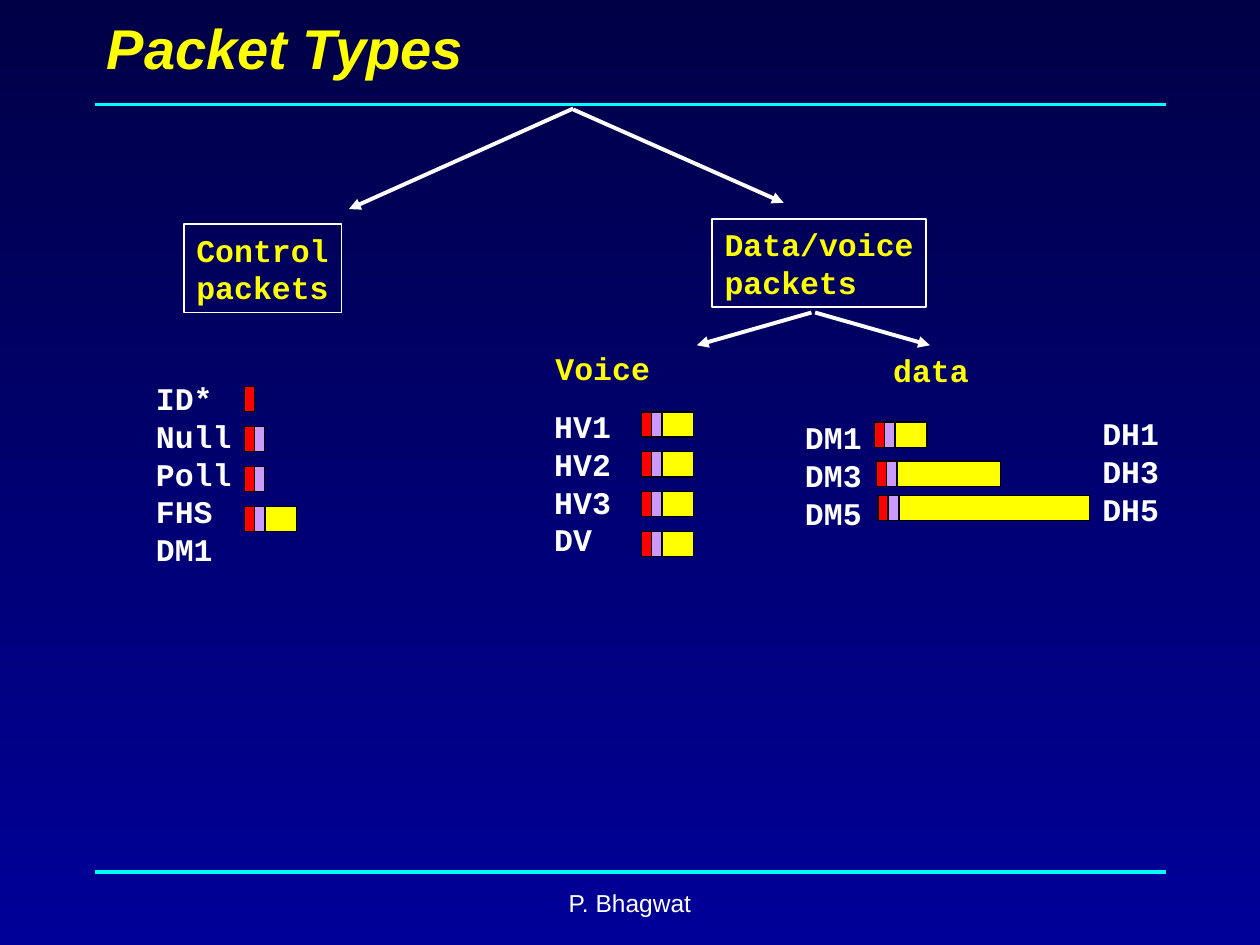
from dataclasses import dataclass

from lxml import etree
from pptx import Presentation
from pptx.dml.color import RGBColor
from pptx.enum.shapes import MSO_CONNECTOR, MSO_SHAPE
from pptx.enum.text import MSO_ANCHOR, MSO_AUTO_SIZE, PP_ALIGN
from pptx.oxml.ns import qn
from pptx.util import Pt

RECTANGLE, STRAIGHT = MSO_SHAPE.RECTANGLE, MSO_CONNECTOR.STRAIGHT
TOP, MIDDLE = MSO_ANCHOR.TOP, MSO_ANCHOR.MIDDLE
LEFT, CENTER = PP_ALIGN.LEFT, PP_ALIGN.CENTER
FIT_SHAPE, NO_FIT = MSO_AUTO_SIZE.SHAPE_TO_FIT_TEXT, MSO_AUTO_SIZE.NONE

NAVY, BLUE, CYAN = "000046", "000099", "00FFFF"
YELLOW, WHITE, BLACK = "FFFF00", "FFFFFF", "000000"
RED, LILAC = "FF0000", "CC99FF"

FIELD_WIDTH, FIELD_HEIGHT, PAYLOAD_OFFSET = 5.8, 14.4, 12
SHORT_PAYLOAD = 18
ROW_PITCH = 22.8


@dataclass(frozen=True)
class Label:
    text: str
    left: float
    top: float
    width: float
    height: float
    color: str = WHITE
    font: str = "Courier New"
    size: float = 18
    bold: bool = True
    italic: bool = False
    boxed: bool = False
    wrap: bool = False
    anchor: MSO_ANCHOR = TOP
    align: PP_ALIGN = LEFT


@dataclass(frozen=True)
class Packet:
    left: float
    top: float
    header: bool = True
    payload: float = 0


@dataclass(frozen=True)
class Line:
    start: tuple[float, float]
    end: tuple[float, float]
    color: str = WHITE
    width: float = 2.25
    arrow: bool = True


TITLE = Label("Packet Types", 54, 0, 612, 54, YELLOW, "Arial", 32,
              italic=True, wrap=True, anchor=MIDDLE)
FOOTER = Label("P. Bhagwat", 246, 504, 228, 36, WHITE, "Arial", 14,
               bold=False, wrap=True, align=CENTER)
LABELS = [
    TITLE,
    Label("Control\npackets", 105.1, 128.2, 90, 50.4, YELLOW, boxed=True),
    Label("Data/voice\npackets", 407, 125.3, 122.4, 50.4, YELLOW, boxed=True),
    Label("ID*\nNull\nPoll\nFHS\nDM1", 82, 213.1, 57.6, 115.2),
    Label("Voice", 310.3, 195.8, 68.4, 28.8, YELLOW),
    Label("data", 503.3, 197.3, 57.6, 28.8, YELLOW),
    Label("HV1\nHV2\nHV3\nDV", 309.6, 229, 46.8, 93.6),
    Label("DM1\nDM3\nDM5", 452.9, 235.4, 46.8, 72),
    Label("DH1\nDH3\nDH5", 622.8, 233.3, 46.8, 72),
    FOOTER,
]

RULES = [Line((54, y), (666, y), CYAN, 2, False) for y in (59.8, 498.2)]
BRANCHES = [
    Line((327.6, 62), (199.4, 119.5)),
    Line((327.6, 62.6), (447.8, 115.9)),
    Line((463.7, 178.6), (398.2, 197.3)),
    Line((465.8, 178.6), (531.4, 197.3)),
]

CONTROL_FIELDS = [(False, 0), (True, 0), (True, 0), (True, SHORT_PAYLOAD)]
CONTROL_PACKETS = [Packet(139.6, 221 + row * ROW_PITCH, header, payload)
                   for row, (header, payload) in enumerate(CONTROL_FIELDS)]
VOICE_PACKETS = [Packet(366.5, 235.4 + row * ROW_PITCH, payload=SHORT_PAYLOAD)
                 for row in range(4)]
DATA_PACKETS = [
    Packet(499.8, 241.2, payload=SHORT_PAYLOAD),
    Packet(500.8, 263.5, payload=59),
    Packet(501.7, 283.2, payload=108.7),
]


def rgb(color: str) -> RGBColor:
    return RGBColor.from_string(color)


def paint_background(slide) -> None:
    fill = slide.background.fill
    fill.gradient()
    fill.gradient_angle = 270
    for stop, color in zip(fill.gradient_stops, (NAVY, BLUE)):
        stop.color.rgb = rgb(color)


def draw_line(slide, line: Line) -> None:
    points = [Pt(value) for value in (*line.start, *line.end)]
    connector = slide.shapes.add_connector(STRAIGHT, *points)
    connector.line.color.rgb = rgb(line.color)
    connector.line.width = Pt(line.width)
    if line.arrow:
        outline = connector.line._get_or_add_ln()
        etree.SubElement(outline, qn("a:tailEnd"), type="triangle")
    etree.SubElement(connector._element.spPr, qn("a:effectLst"))


def draw_label(slide, label: Label) -> None:
    box = slide.shapes.add_textbox(Pt(label.left), Pt(label.top),
                                   Pt(label.width), Pt(label.height))
    if label.boxed:
        box.line.color.rgb = rgb(WHITE)
        box.line.width = Pt(1)
    frame = box.text_frame
    frame.text = label.text
    frame.word_wrap = label.wrap
    frame.auto_size = NO_FIT if label.wrap else FIT_SHAPE
    frame.vertical_anchor = label.anchor
    for paragraph in frame.paragraphs:
        paragraph.alignment = label.align
        for run in paragraph.runs:
            font = run.font
            font.name, font.size = label.font, Pt(label.size)
            font.bold, font.italic = label.bold, label.italic
            font.color.rgb = rgb(label.color)


def draw_field(shapes, left: float, top: float, width: float, color: str) -> None:
    field = shapes.add_shape(RECTANGLE, Pt(left), Pt(top), Pt(width), Pt(FIELD_HEIGHT))
    field.shadow.inherit = False
    field.fill.solid()
    field.fill.fore_color.rgb = rgb(color)
    field.line.color.rgb = rgb(BLACK)
    field.line.width = Pt(0.75)


def draw_packet(slide, packet: Packet) -> None:
    """Draw access code, then optional payload and header, as one group."""
    fields = slide.shapes.add_group_shape().shapes
    draw_field(fields, packet.left, packet.top, FIELD_WIDTH, RED)
    if packet.payload:
        draw_field(fields, packet.left + PAYLOAD_OFFSET, packet.top, packet.payload, YELLOW)
    if packet.header:
        draw_field(fields, packet.left + FIELD_WIDTH, packet.top, FIELD_WIDTH, LILAC)


def main() -> None:
    presentation = Presentation()
    presentation.slide_width, presentation.slide_height = Pt(720), Pt(540)
    slide = presentation.slides.add_slide(presentation.slide_layouts[6])
    paint_background(slide)
    for line in RULES:
        draw_line(slide, line)
    for label in LABELS:
        draw_label(slide, label)
    for packet in CONTROL_PACKETS + VOICE_PACKETS + DATA_PACKETS:
        draw_packet(slide, packet)
    for branch in BRANCHES:
        draw_line(slide, branch)
    presentation.save("out.pptx")


if __name__ == "__main__":
    main()
